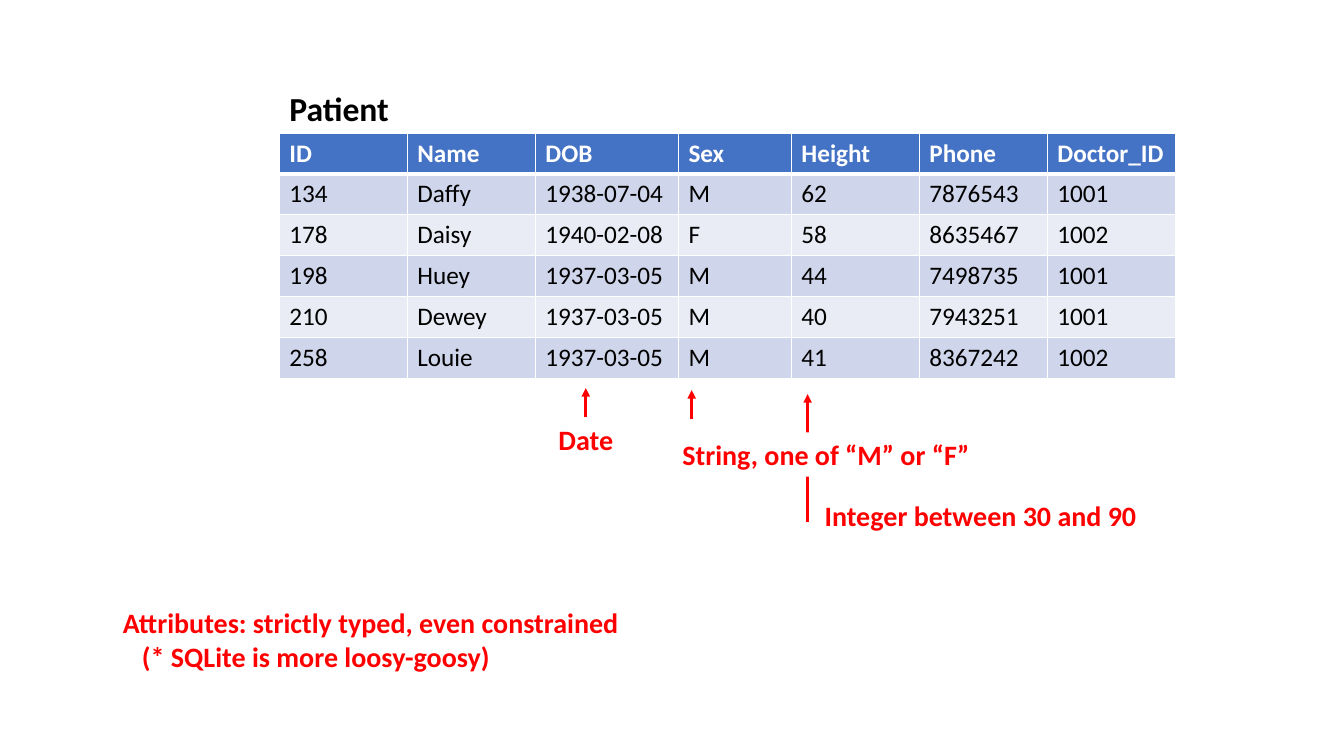
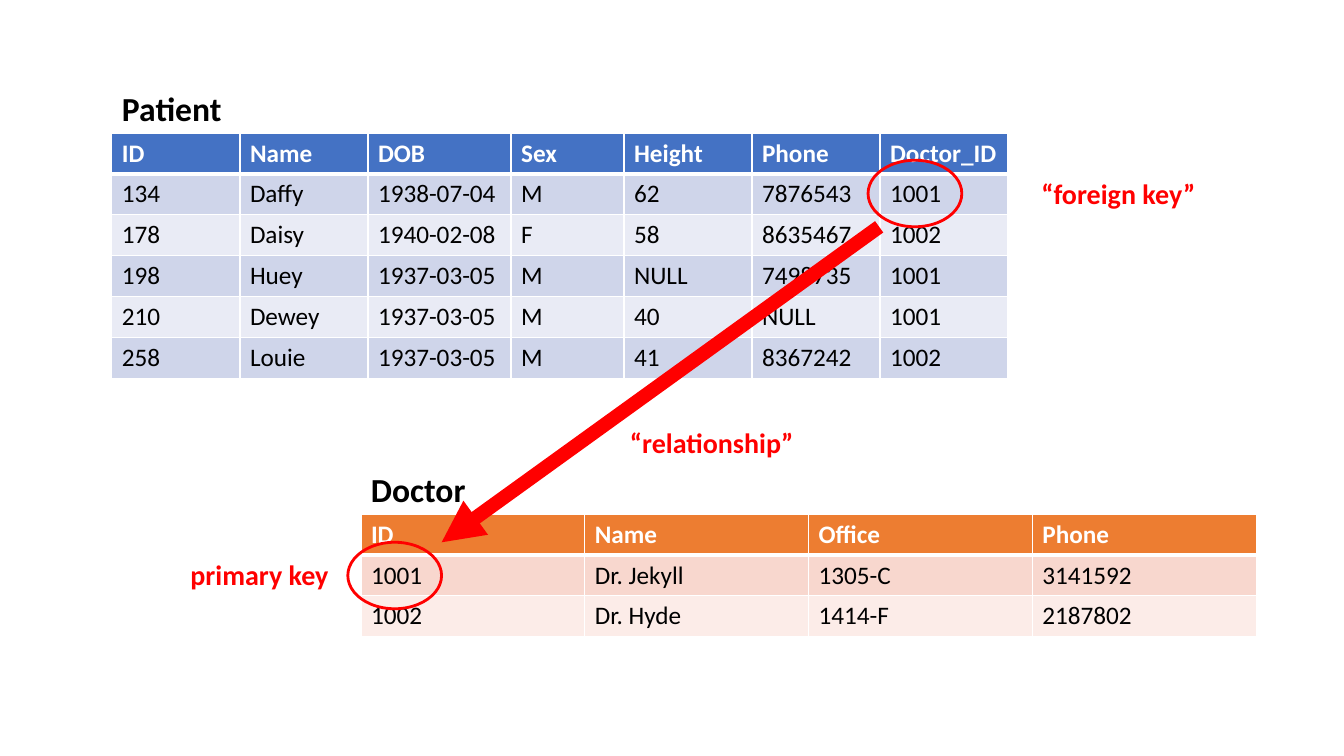
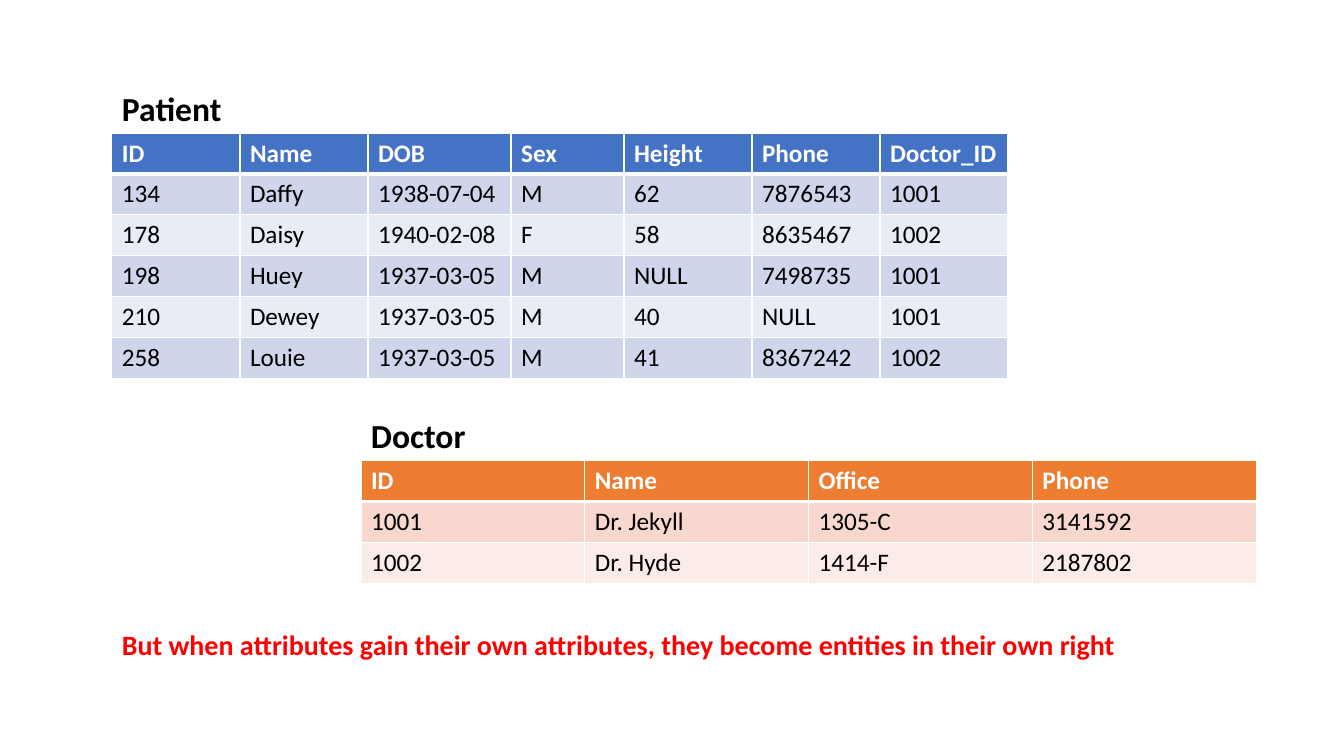
from dataclasses import dataclass

from lxml.etree import SubElement
from pptx import Presentation
from pptx.dml.color import RGBColor
from pptx.enum.shapes import MSO_CONNECTOR, MSO_SHAPE
from pptx.enum.text import MSO_ANCHOR, MSO_AUTO_SIZE, PP_ALIGN
from pptx.oxml.ns import qn
from pptx.util import Inches, Pt


@dataclass(frozen=True)
class Theme:
    font: str = "Calibri"
    black: str = "000000"
    white: str = "FFFFFF"
    red: str = "FF0000"
    blue_bands: tuple = ("4472C4", "CFD5EA", "E9EBF5")
    orange_bands: tuple = ("ED7D31", "F8D7CE", "FCECE8")
    caption_size: int = 24
    note_size: int = 20
    cell_size: int = 18
    grid_width: float = 1
    header_rule: float = 3
    mark_width: float = 2
    relation_width: float = 10


THEME = Theme()
ROW_HEIGHT = Pt(29.2)
PATIENT_TOP = 1.32
PATIENT_LEFT = 1.11
DOCTOR_LEFT = 3.58
CAPTION_HEIGHT = 0.5
NOTE_HEIGHT = 0.44
PATIENT_WIDTHS = (1.27, 1.27, 1.42, 1.12, 1.27, 1.27, 1.27)
DOCTOR_WIDTHS = (2.22,) * 4
DOCTOR_ROWS = (
    ("ID", "Name", "Office", "Phone"),
    ("1001", "Dr. Jekyll", "1305-C", "3141592"),
    ("1002", "Dr. Hyde", "1414-F", "2187802"),
)


def patient_rows(huey_height, dewey_phone):
    return (
        ("ID", "Name", "DOB", "Sex", "Height", "Phone", "Doctor_ID"),
        ("134", "Daffy", "1938-07-04", "M", "62", "7876543", "1001"),
        ("178", "Daisy", "1940-02-08", "F", "58", "8635467", "1002"),
        ("198", "Huey", "1937-03-05", "M", huey_height, "7498735", "1001"),
        ("210", "Dewey", "1937-03-05", "M", "40", dewey_phone, "1001"),
        ("258", "Louie", "1937-03-05", "M", "41", "8367242", "1002"),
    )


def color(value):
    return RGBColor.from_string(value)


def write_text(text_frame, text, size=THEME.note_size, text_color=THEME.red,
               bold=True, wrap=False, last_indent=0):
    """Fill a text frame; last_indent moves its last paragraph, in inches."""
    text_frame.text = text
    text_frame.word_wrap = wrap
    for paragraph in text_frame.paragraphs:
        paragraph.alignment = PP_ALIGN.LEFT
        for run in paragraph.runs:
            run.font.name = THEME.font
            run.font.size = Pt(size)
            run.font.bold = bold
            run.font.color.rgb = color(text_color)
    if last_indent:
        properties = text_frame.paragraphs[-1]._p.get_or_add_pPr()
        properties.set("marL", str(Inches(last_indent)))


def place(shape, left, top, width, height):
    shape.left, shape.top = Inches(left), Inches(top)
    shape.width, shape.height = Inches(width), Inches(height)


def add_note(slide, text, left, top, width, height=NOTE_HEIGHT, fill=None, **text_format):
    box = slide.shapes.add_textbox(
        Inches(left), Inches(top), Inches(width), Inches(height))
    if fill:
        box.fill.solid()
        box.fill.fore_color.rgb = color(fill)
    write_text(box.text_frame, text, **text_format)


def set_border(cell, side, width):
    line = SubElement(cell._tc.get_or_add_tcPr(), qn(f"a:ln{side}"), w=str(Pt(width)))
    fill = SubElement(line, qn("a:solidFill"))
    SubElement(fill, qn("a:srgbClr"), val=THEME.white)


def add_data_table(slide, rows, widths, left, top, bands):
    """Draw a header row in bands[0] and data rows alternating the other two."""
    table = slide.shapes.add_table(
        len(rows), len(widths), Inches(left), Inches(top),
        Inches(sum(widths)), ROW_HEIGHT * len(rows)).table
    table.horz_banding = False
    for column, width in zip(table.columns, widths):
        column.width = Inches(width)
    for row_index, values in enumerate(rows):
        header = row_index == 0
        thick_side = {0: "B", 1: "T"}.get(row_index)
        fill = bands[0] if header else bands[2 - row_index % 2]
        for column_index, value in enumerate(values):
            cell = table.cell(row_index, column_index)
            for side in "LRTB":
                set_border(cell, side, THEME.header_rule if side == thick_side
                           else THEME.grid_width)
            cell.fill.solid()
            cell.fill.fore_color.rgb = color(fill)
            write_text(cell.text_frame, value, size=THEME.cell_size, bold=header,
                       text_color=THEME.white if header else THEME.black, wrap=True)


def add_patient(slide, rows, left=PATIENT_LEFT):
    """Draw the patient table with the slide title as its caption."""
    title = slide.shapes.title
    place(title, left, PATIENT_TOP - CAPTION_HEIGHT, 1.2, CAPTION_HEIGHT)
    title.text_frame.auto_size = MSO_AUTO_SIZE.NONE
    title.text_frame.vertical_anchor = MSO_ANCHOR.TOP
    write_text(title.text_frame, "Patient", size=THEME.caption_size,
               text_color=THEME.black)
    add_data_table(slide, rows, PATIENT_WIDTHS, left, PATIENT_TOP, THEME.blue_bands)


def add_doctor(slide, top):
    add_data_table(slide, DOCTOR_ROWS, DOCTOR_WIDTHS, DOCTOR_LEFT, top,
                   THEME.orange_bands)
    add_note(slide, "Doctor", DOCTOR_LEFT, top - CAPTION_HEIGHT, 1.15, CAPTION_HEIGHT,
             size=THEME.caption_size, text_color=THEME.black)


def add_arrow(slide, start, end, width=THEME.mark_width):
    arrow = slide.shapes.add_connector(
        MSO_CONNECTOR.STRAIGHT, *(Inches(value) for value in (*start, *end)))
    arrow.line.color.rgb = color(THEME.red)
    arrow.line.width = Pt(width)
    SubElement(arrow.line._get_or_add_ln(), qn("a:tailEnd"), type="triangle")
    SubElement(arrow._element.spPr, qn("a:effectLst"))


def add_key_ring(slide, left, top):
    ring = slide.shapes.add_shape(
        MSO_SHAPE.OVAL, Inches(left), Inches(top), Inches(0.93), Inches(0.66))
    ring.shadow.inherit = False
    ring.fill.background()
    ring.line.color.rgb = color(THEME.red)
    ring.line.width = Pt(THEME.mark_width)


def build_types_slide(slide):
    add_patient(slide, patient_rows("44", "7943251"), left=2.77)
    add_note(slide, "Attributes: strictly typed, even constrained\n"
             "(* SQLite is more loosy-goosy)", 1.12, 5.96, 5.16, 0.77, last_indent=0.19)
    add_note(slide, "Date", 5.44, 4.14, 0.75)
    add_note(slide, "Integer between 30 and 90", 8.08, 4.9, 3.32)
    for x, bottom, top in ((5.81, 4.14, 3.85), (6.86, 4.16, 3.87), (8.01, 5.18, 3.91)):
        add_arrow(slide, (x, bottom), (x, top))
    add_note(slide, "String, one of “M” or “F”", 6.67, 4.29, 3.07, fill=THEME.white)


def build_keys_slide(slide):
    add_patient(slide, patient_rows("NULL", "NULL"))
    add_doctor(slide, top=5.1)
    add_key_ring(slide, 8.61, 1.59)
    add_key_ring(slide, 3.45, 5.38)
    add_arrow(slide, (8.72, 2.25), (4.38, 5.38), width=THEME.relation_width)
    add_note(slide, "“relationship”", 6.15, 4.17, 1.84)
    add_note(slide, "“foreign key”", 10.23, 1.7, 1.74)
    add_note(slide, "primary key", 1.79, 5.48, 1.58)


def build_entities_slide(slide):
    add_patient(slide, patient_rows("NULL", "NULL"))
    add_doctor(slide, top=4.57)
    add_note(slide, "But when attributes gain their own attributes, "
             "they become entities in their own right", PATIENT_LEFT, 6.18, 10.08)


def main():
    presentation = Presentation()
    presentation.slide_width = Inches(13.33)
    presentation.slide_height = Inches(7.5)
    title_only = presentation.slide_layouts.get_by_name("Title Only")
    for build in (build_types_slide, build_keys_slide, build_entities_slide):
        build(presentation.slides.add_slide(title_only))
    presentation.save("out.pptx")


if __name__ == "__main__":
    main()
